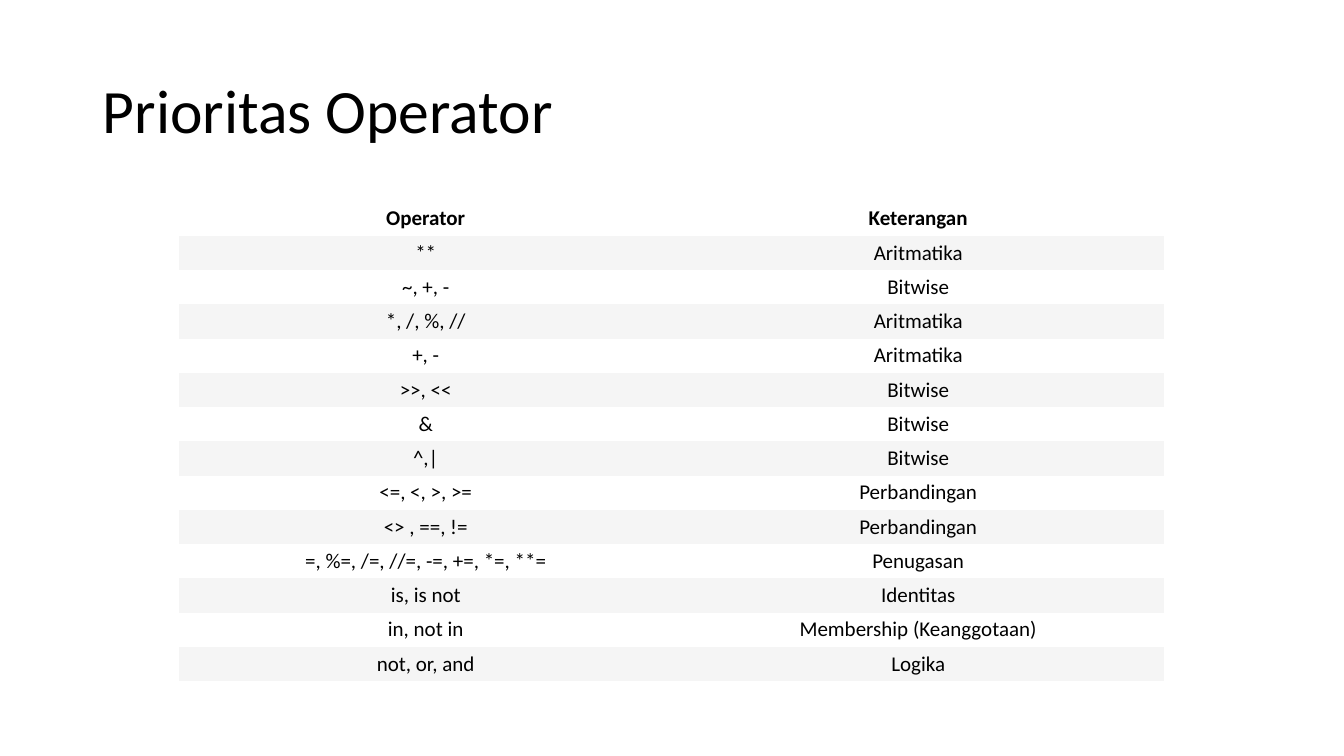
from dataclasses import dataclass

from pptx import Presentation
from pptx.dml.color import RGBColor
from pptx.enum import text
from pptx.oxml import ns
from pptx.util import Inches, Pt


@dataclass(frozen=True)
class Theme:
    font: str = "Calibri"
    ink: RGBColor = RGBColor.from_string("000000")
    plain: RGBColor = RGBColor.from_string("FFFFFF")
    band: RGBColor = RGBColor.from_string("F5F5F5")
    title_size: Pt = Pt(44)
    cell_size: Pt = Pt(15)


THEME = Theme()
NO_STYLE_NO_GRID = "{2D5ABB26-0587-4C30-8999-92F81FD0307C}"
PRECEDENCE = [
    ("Operator", "Keterangan"),
    ("**", "Aritmatika"),
    ("~, +, -", "Bitwise"),
    ("*, /, %, //", "Aritmatika"),
    ("+, -", "Aritmatika"),
    (">>, <<", "Bitwise"),
    ("&", "Bitwise"),
    ("^,|", "Bitwise"),
    ("<=, <, >, >=", "Perbandingan"),
    ("<> , ==, !=", "Perbandingan"),
    ("=, %=, /=, //=, -=, +=, *=, **=", "Penugasan"),
    ("is, is not", "Identitas"),
    ("in, not in", "Membership (Keanggotaan)"),
    ("not, or, and", "Logika"),
]


def write(frame, wording, size, align, bold=False):
    frame.text = wording
    paragraph = frame.paragraphs[0]
    paragraph.alignment = align
    font = paragraph.runs[0].font
    font.name, font.size, font.bold = THEME.font, size, bold
    font.color.rgb = THEME.ink


def place_title(slide, wording):
    title = slide.shapes.title
    title.left, title.top = Inches(0.92), Inches(0.4)
    title.width, title.height = Inches(11.5), Inches(1.45)
    title.text_frame.vertical_anchor = text.MSO_ANCHOR.MIDDLE
    write(title.text_frame, wording, THEME.title_size, text.PP_ALIGN.LEFT)
    title.text_frame.paragraphs[0].line_spacing = 0.9


def fill_cell(cell, wording, color, bold):
    cell.margin_left = cell.margin_right = Inches(0.08)
    cell.margin_top = cell.margin_bottom = Inches(0.04)
    cell.vertical_anchor = text.MSO_ANCHOR.MIDDLE
    cell.fill.solid()
    cell.fill.fore_color.rgb = color
    write(cell.text_frame, wording, THEME.cell_size, text.PP_ALIGN.CENTER, bold)


def add_banded_table(slide, rows):
    frame = slide.shapes.add_table(
        len(rows), len(rows[0]), Inches(1.78), Inches(2),
        Inches(9.77), Inches(0.34) * len(rows))
    table = frame.table
    frame._element.find(".//" + ns.qn("a:tableStyleId")).text = NO_STYLE_NO_GRID
    for row_index, row in enumerate(rows):
        color = THEME.band if row_index % 2 else THEME.plain
        for column_index, wording in enumerate(row):
            fill_cell(table.cell(row_index, column_index), wording, color,
                      bold=row_index == 0)


def main():
    deck = Presentation()
    deck.slide_width, deck.slide_height = Inches(13.33), Inches(7.5)
    slide = deck.slides.add_slide(deck.slide_layouts.get_by_name("Title Only"))
    slide.background.fill.solid()
    slide.background.fill.fore_color.rgb = THEME.plain
    place_title(slide, "Prioritas Operator")
    add_banded_table(slide, PRECEDENCE)
    deck.save("out.pptx")


if __name__ == "__main__":
    main()
